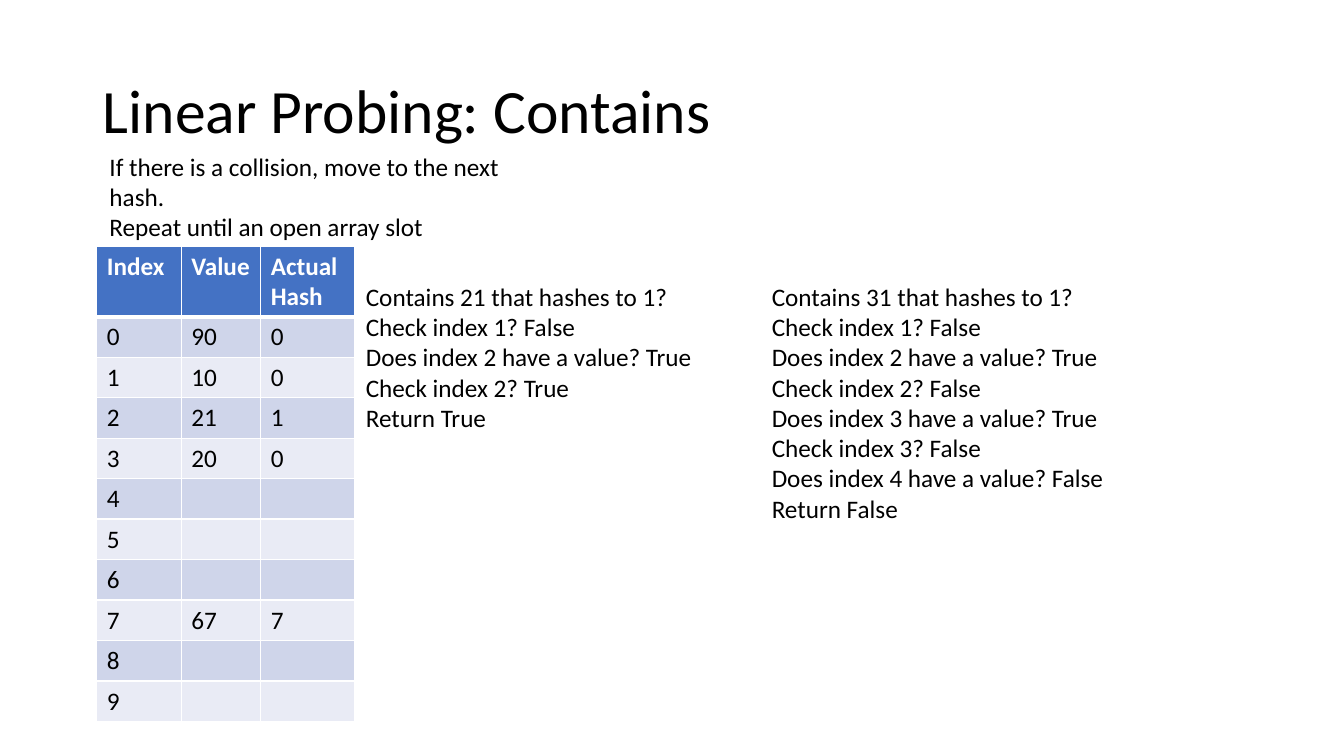
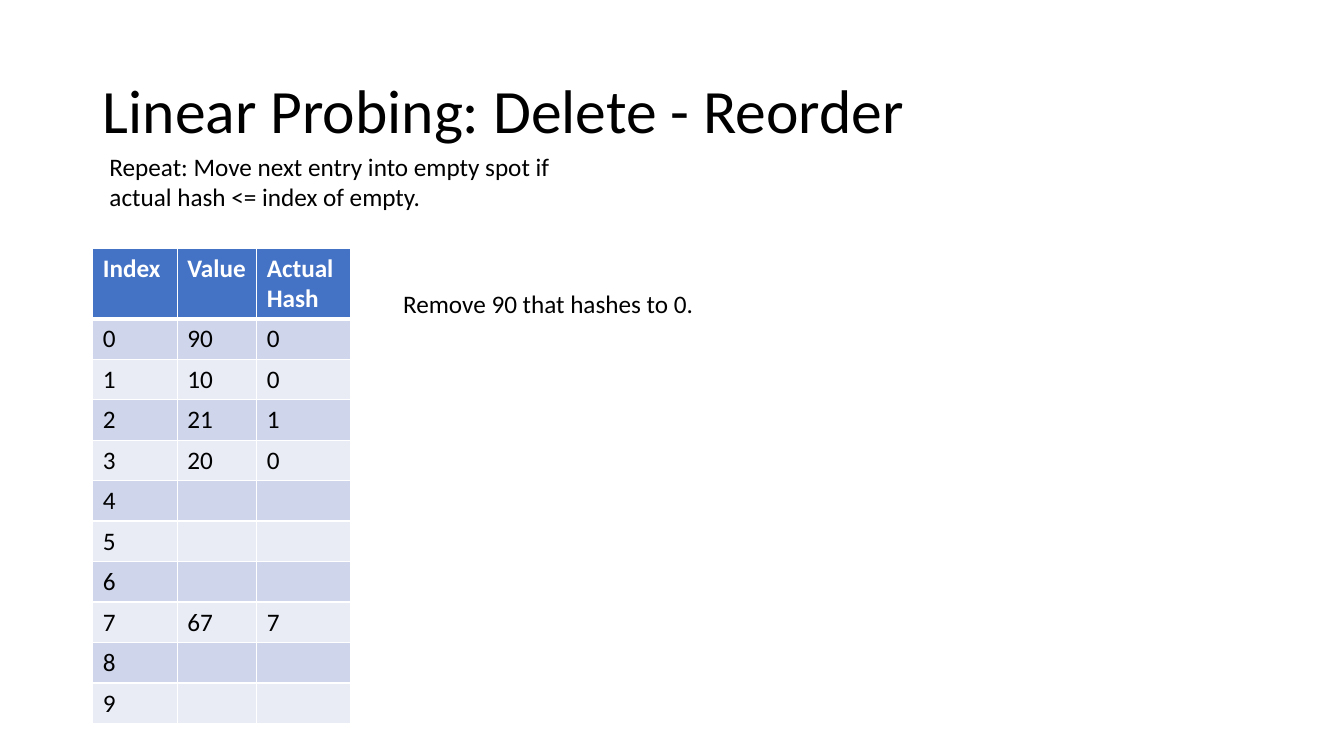
from lxml.etree import SubElement
from pptx import Presentation
from pptx.dml.color import RGBColor as RGB
from pptx.enum.text import MSO_ANCHOR as Anchor
from pptx.oxml.ns import qn
from pptx.util import Cm, Pt

FONT = "Calibri"
COLORS = {
    "text": "000000",
    "white": "FFFFFF",
    "header": "4472C4",
    "odd": "CFD5EA",
    "even": "E9EBF5",
}
COL_WIDTHS = (2.13, 2.0, 2.37)
HEADER_HEIGHT, ROW_HEIGHT = 1.78, 1.02
HEADERS = ("Index", "Value", "Actual Hash")
ENTRIES = {0: (90, 0), 1: (10, 0), 2: (21, 1), 3: (20, 0), 7: (67, 7)}
CAPACITY = 10


def style_paragraph(p, size=18, color="text", bold=False):
    for r in p.runs:
        r.font.name = FONT
        r.font.size = Pt(size)
        r.font.bold = bold
        r.font.color.rgb = RGB.from_string(COLORS[color])


def add_text(s, lines, left, top, width, height, size=18):
    tf = s.shapes.add_textbox(Cm(left), Cm(top), Cm(width), Cm(height)).text_frame
    tf.word_wrap = True
    tf.text = "\n".join(lines)
    for p in tf.paragraphs:
        style_paragraph(p, size)
    return tf


def add_title(s, title):
    tf = add_text(s, [title], 2.34, 1.02, 29.21, 3.68, size=44)
    tf.vertical_anchor = Anchor.MIDDLE
    tf.paragraphs[0].line_spacing = 0.9


def set_borders(cell, top=1, bottom=1):
    tc_pr = cell._tc.get_or_add_tcPr()
    for side, width in (("L", 1), ("R", 1), ("T", top), ("B", bottom)):
        ln = SubElement(tc_pr, qn(f"a:ln{side}"), w=str(Pt(width)))
        fill = SubElement(ln, qn("a:solidFill"))
        SubElement(fill, qn("a:srgbClr"), val=COLORS["white"])


def fill_cell(cell, text, fill, color="text", bold=False, **borders):
    set_borders(cell, **borders)
    cell.fill.solid()
    cell.fill.fore_color.rgb = RGB.from_string(COLORS[fill])
    p = cell.text_frame.paragraphs[0]
    p.font.size = Pt(18)
    if text:
        p.text = text
        style_paragraph(p, color=color, bold=bold)


def add_hash_table(s, left, top):
    height = HEADER_HEIGHT + CAPACITY * ROW_HEIGHT
    table = s.shapes.add_table(
        CAPACITY + 1, len(HEADERS), Cm(left), Cm(top), Cm(sum(COL_WIDTHS)), Cm(height)
    ).table
    for column, width in zip(table.columns, COL_WIDTHS):
        column.width = Cm(width)
    for i, row in enumerate(table.rows):
        row.height = Cm(ROW_HEIGHT if i else HEADER_HEIGHT)
    for cell, text in zip(table.rows[0].cells, HEADERS):
        fill_cell(cell, text, "header", "white", True, bottom=3)
    for index in range(CAPACITY):
        values = (index, *ENTRIES.get(index, ("", "")))
        for cell, value in zip(table.rows[index + 1].cells, values):
            fill_cell(cell, str(value), "even" if index % 2 else "odd",
                      top=1 if index else 3)


def add_probing_slide(prs, title, rule, table_left, table_top):
    s = prs.slides.add_slide(prs.slide_layouts[6])
    add_title(s, title)
    add_text(s, rule, 2.51, 3.68, 11.73, 1.8)
    add_hash_table(s, table_left, table_top)
    return s


def main():
    prs = Presentation()
    prs.slide_width, prs.slide_height = Cm(33.87), Cm(19.05)

    s = add_probing_slide(
        prs,
        "Linear Probing: Contains",
        ["If there is a collision, move to the next hash.",
         "Repeat until an open array slot"],
        2.44, 6.2,
    )
    add_text(s, [
        "Contains 21 that hashes to 1?",
        "Check index 1? False",
        "Does index 2 have a value? True",
        "Check index 2? True",
        "Return True",
    ], 8.97, 6.96, 9, 4.88)
    add_text(s, [
        "Contains 31 that hashes to 1?",
        "Check index 1? False",
        "Does index 2 have a value? True",
        "Check index 2? False",
        "Does index 3 have a value? True",
        "Check index 3? False",
        "Does index 4 have a value? False",
        "Return False",
    ], 19.2, 6.96, 9, 7.19)

    s = add_probing_slide(
        prs,
        "Linear Probing: Delete - Reorder",
        ["Repeat: Move next entry into empty spot if actual hash <= index of empty."],
        2.34, 6.25,
    )
    add_text(s, ["Remove 90 that hashes to 0."], 9.91, 7.14, 8, 1.8)

    prs.save("out.pptx")


if __name__ == "__main__":
    main()
